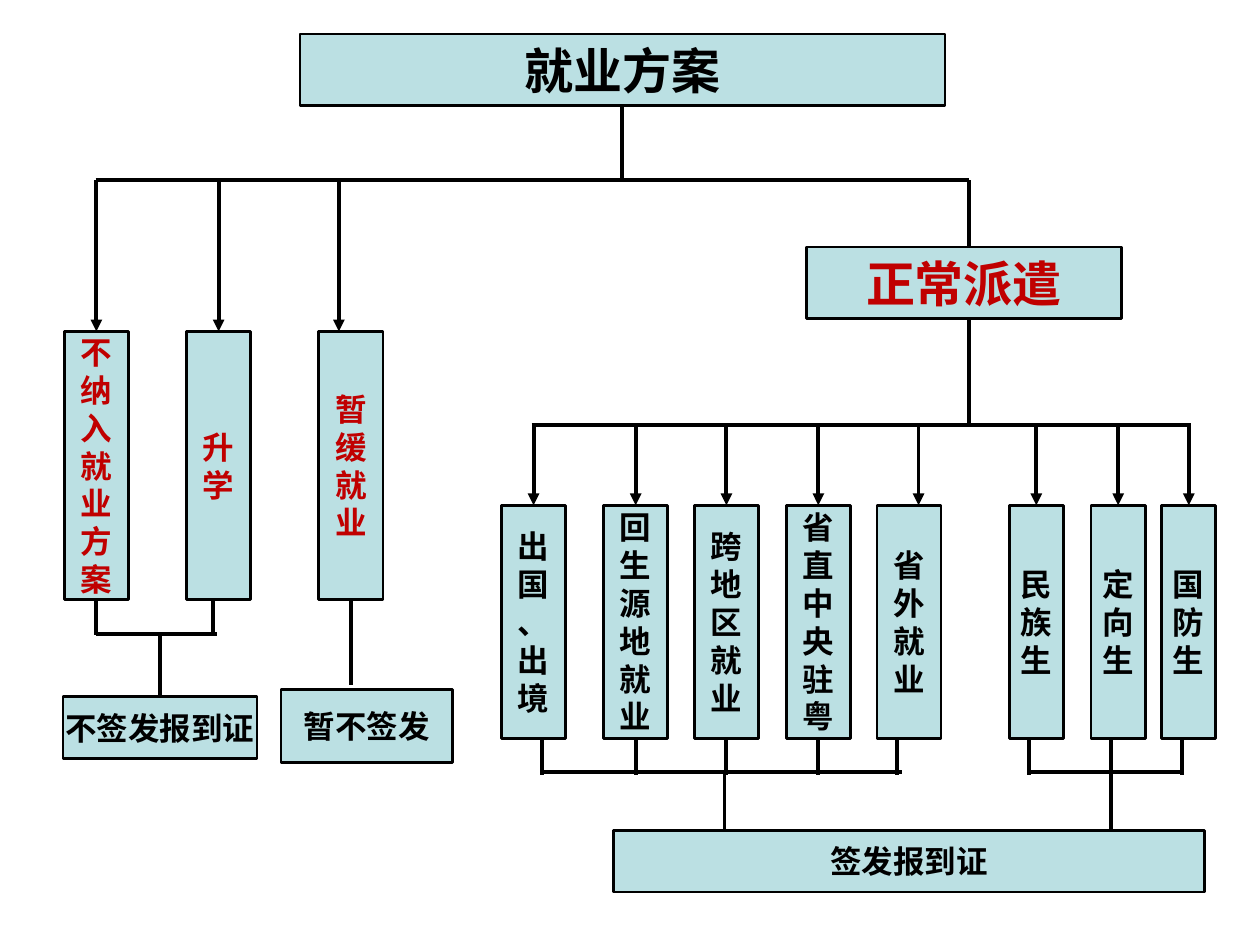
"""Draw the tree of job plans and the papers each branch leads to."""
from dataclasses import dataclass

from lxml.etree import SubElement
from pptx import Presentation
from pptx.dml.color import RGBColor
from pptx.enum.shapes import MSO_CONNECTOR as Conn, MSO_SHAPE as Form
from pptx.enum.text import MSO_ANCHOR as Anchor, MSO_AUTO_SIZE as Fit, PP_ALIGN as Align
from pptx.oxml.ns import qn
from pptx.util import Inches, Pt

BLACK, RED, TEAL = "000000", "C00000", "BBE0E3"
NEAR = 0.035


@dataclass
class Box:
    text: str
    left: float
    top: float
    width: float
    height: float
    color: str = BLACK
    size: int = 18
    tall: bool = False


@dataclass
class Leaf:
    text: str
    left: float
    width: float
    drop: float
    stub: float


@dataclass
class Tier:
    bus: float
    top: float
    height: float
    end: float
    color: str
    leaves: list[Leaf]


def paint(target, color: str) -> None:
    target.rgb = RGBColor.from_string(color)


def style(shape, box: Box) -> None:
    shape.left, shape.top = Inches(box.left), Inches(box.top)
    shape.width, shape.height = Inches(box.width), Inches(box.height)
    shape.shadow.inherit = False
    shape.fill.solid()
    paint(shape.fill.fore_color, TEAL)
    paint(shape.line.color, BLACK)
    shape.line.width = Pt(1.5)
    frame = shape.text_frame
    frame.auto_size = Fit.NONE
    frame.word_wrap = box.size > 18
    frame.vertical_anchor = Anchor.MIDDLE
    for i, part in enumerate(box.text if box.tall else [box.text]):
        para = frame.add_paragraph() if i else frame.paragraphs[0]
        para.alignment = Align.CENTER
        run = para.add_run()
        run.text = part
        run.font.name, run.font.size, run.font.bold = "Arial", Pt(box.size), True
        paint(run.font.color, box.color)


def draw(slide, box: Box):
    shape = slide.shapes.add_shape(Form.RECTANGLE, 0, 0, 0, 0)
    style(shape, box)
    return shape


def line(slide, x1: float, y1: float, x2: float, y2: float, tip: bool = False):
    ends = [Inches(n) for n in (x1, y1, x2, y2)]
    wire = slide.shapes.add_connector(Conn.STRAIGHT, *ends)
    paint(wire.line.color, BLACK)
    wire.line.width = Pt(2.25)
    if tip:
        SubElement(wire.line._get_or_add_ln(), qn("a:tailEnd"), type="triangle")
    SubElement(wire._element.spPr, qn("a:effectLst"))
    return wire


def snap(shape, x: float) -> tuple[float, bool]:
    mid = (shape.left + shape.width / 2) / Inches(1)
    near = abs(mid - x) < NEAR
    return (mid if near else x), near


def enter(slide, shape, x: float, start: float, tip: bool = False) -> None:
    x, near = snap(shape, x)
    wire = line(slide, x, start, x, shape.top / Inches(1), tip)
    if near:
        wire.end_connect(shape, 0)


def leave(slide, shape, x: float, end: float) -> None:
    x, near = snap(shape, x)
    wire = line(slide, x, (shape.top + shape.height) / Inches(1), x, end)
    if near:
        wire.begin_connect(shape, 2)


def grow(slide, tier: Tier) -> None:
    for leaf in tier.leaves:
        box = Box(leaf.text, leaf.left, tier.top, leaf.width, tier.height,
                  tier.color, tall=True)
        shape = draw(slide, box)
        enter(slide, shape, leaf.drop, tier.bus, True)
        leave(slide, shape, leaf.stub, tier.end)


HEAD = Box("就业方案", 2.38, 0.27, 5.12, 0.57, size=28)
SEND = Box("正常派遣", 6.4, 1.96, 2.5, 0.57, RED, 28)
NONE = Box("不签发报到证", 0.5, 5.53, 1.54, 0.49)
WAIT = Box("暂不签发", 2.23, 5.47, 1.36, 0.58)
SIGN = Box("签发报到证", 4.87, 6.59, 4.69, 0.49)

TIERS = [
    Tier(1.43, 2.63, 2.13, 5.04, RED, [
        Leaf("不纳入就业方案", 0.51, 0.51, 0.76, 0.76),
        Leaf("升学", 1.48, 0.51, 1.72, 1.69),
    ]),
    Tier(1.43, 2.63, 2.13, 5.44, RED, [
        Leaf("暂缓就业", 2.53, 0.51, 2.69, 2.79),
    ]),
    Tier(3.37, 4.01, 1.85, 6.15, BLACK, [
        Leaf("出国、出境", 3.98, 0.51, 4.22, 4.3),
        Leaf("回生源地就业", 4.79, 0.51, 5.03, 5.03),
        Leaf("跨地区就业", 5.51, 0.51, 5.75, 5.75),
        Leaf("省直中央驻粤", 6.24, 0.51, 6.48, 6.48),
        Leaf("省外就业", 6.96, 0.51, 7.29, 7.12),
        Leaf("民族生", 8.01, 0.43, 8.25, 8.17),
        Leaf("定向生", 8.66, 0.43, 8.9, 8.82),
        Leaf("国防生", 9.22, 0.43, 9.46, 9.38),
    ]),
]

BARS = [(0.76, 7.69, 1.43), (4.22, 9.45, 3.37), (0.76, 1.72, 5.03),
        (4.3, 7.16, 6.13), (8.17, 9.38, 6.13)]


def main() -> None:
    deck = Presentation()
    deck.slide_width, deck.slide_height = Inches(10), Inches(7.5)
    slide = deck.slides.add_slide(deck.slide_layouts[5])
    head = slide.shapes.title
    style(head, HEAD)
    send, none, _, sign = [draw(slide, b) for b in (SEND, NONE, WAIT, SIGN)]
    for tier in TIERS:
        grow(slide, tier)
    for left, right, y in BARS:
        line(slide, left, y, right, y)
    leave(slide, head, 4.94, 1.43)
    enter(slide, send, 7.69, 1.43)
    leave(slide, send, 7.69, 3.37)
    enter(slide, none, 1.24, 5.03)
    for x in (5.75, 8.82):
        enter(slide, sign, x, 6.13)
    deck.save("out.pptx")


if __name__ == "__main__":
    main()
